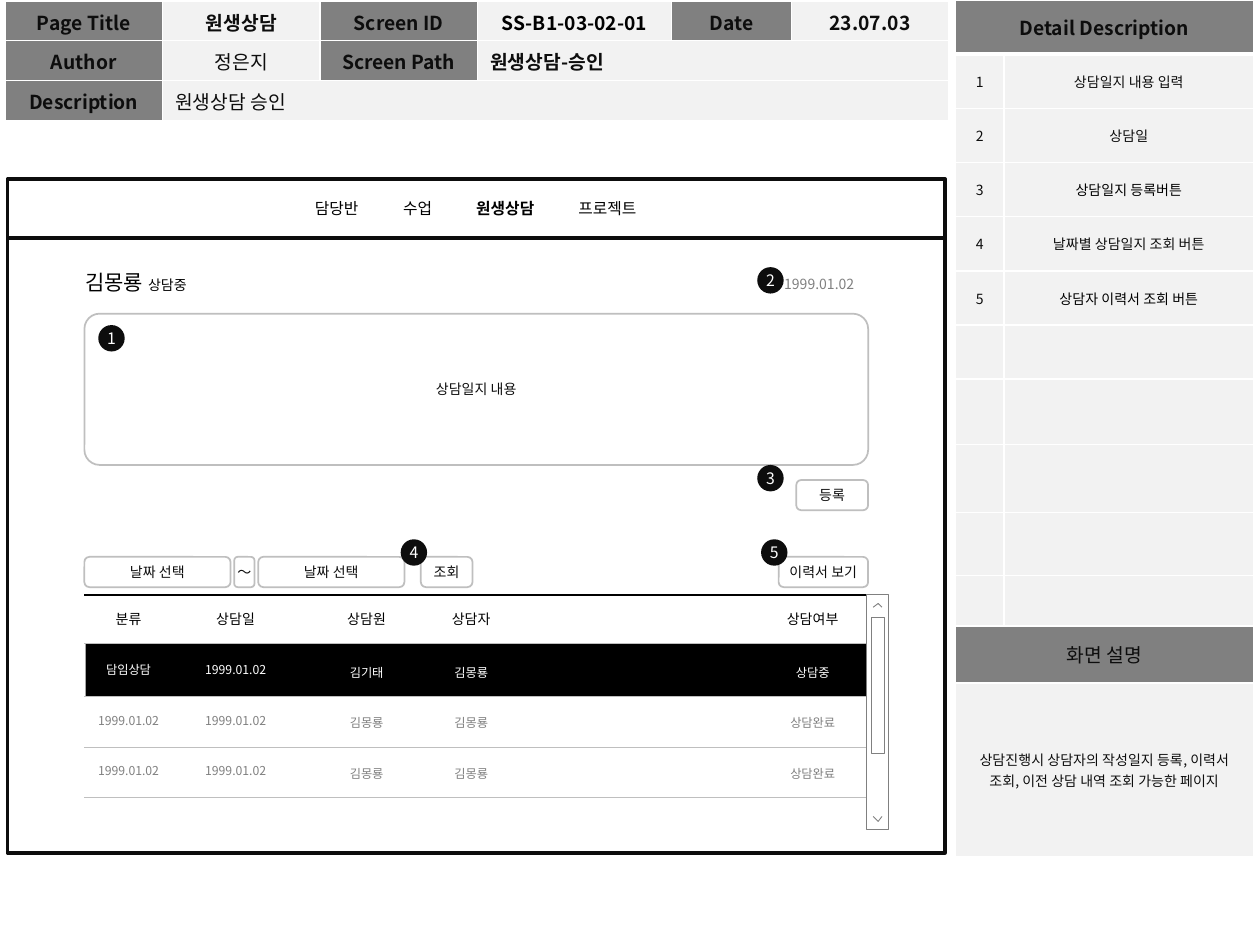
from lxml.etree import SubElement
from pptx import Presentation
from pptx.dml.color import RGBColor
from pptx.enum.shapes import MSO_CONNECTOR, MSO_SHAPE
from pptx.enum.text import MSO_ANCHOR, PP_ALIGN
from pptx.oxml.ns import qn
from pptx.util import Inches, Pt

FONT = "Noto Sans CJK KR"
COLORS = {"white": "FFFFFF", "black": "000000", "ink": "0D0D0D", "gray": "808080",
          "silver": "BFBFBF", "pale": "F2F2F2"}


def write_text(frame, runs, align=PP_ALIGN.CENTER, color="black", **formats):
    paragraph = frame.paragraphs[0]
    paragraph.alignment = align
    for text, changes in runs:
        run = paragraph.add_run()
        run.text = text
        for name, value in {"name": FONT, **formats, **changes}.items():
            setattr(run.font, name, value)
        run.font.color.rgb = RGBColor.from_string(COLORS[color])
        SubElement(run._r.get_or_add_rPr(), qn("a:ea"), typeface=FONT)


def style_shape(shape, fill=None, line=None, width=1):
    shape.shadow.inherit = False
    if fill:
        shape.fill.solid()
        shape.fill.fore_color.rgb = RGBColor.from_string(COLORS[fill])
    else:
        shape.fill.background()
    if line:
        shape.line.color.rgb = RGBColor.from_string(COLORS[line])
        shape.line.width = Pt(width)
    else:
        shape.line.fill.background()


presentation = Presentation()
presentation.slide_width, presentation.slide_height = Inches(10), Inches(7.5)
slide = presentation.slides.add_slide(presentation.slide_layouts[6])
shapes = slide.shapes

menu = shapes.add_textbox(*map(Inches, (2.2, 1.53, 3.16, 0.25))).text_frame
menu.word_wrap = True
menu.margin_left = Inches(0.3)
tab_list = SubElement(menu.paragraphs[0]._p.get_or_add_pPr(), qn("a:tabLst"))
for position in (0.7, 1.28, 2.09):
    SubElement(tab_list, qn("a:tab"), pos=str(Inches(position)), algn="l")
write_text(menu, [("담당반\t수업\t", {}), ("원생상담", {"bold": True}), ("\t프로젝트", {})],
           PP_ALIGN.LEFT, size=Pt(9))

for top, height in ((1.89, 4.88), (1.42, 0.47)):
    frame = shapes.add_shape(MSO_SHAPE.RECTANGLE, *map(Inches, (0.06, top, 7.44, height)))
    style_shape(frame, line="ink", width=2)

title = {"size": Pt(11), "bold": True}
plain = {"size": Pt(11), "bold": False}
small = {"size": Pt(8), "bold": False}
left_title = {**title, "align": PP_ALIGN.LEFT}
left_plain = {**plain, "align": PP_ALIGN.LEFT}
dark = {"fill": "gray", **title}
header_rows = [
    [("Page Title", dark), ("원생상담", title), ("Screen ID", dark),
     ("SS-B1-03-02-01", {**title, "color": "black"}), ("Date", dark), ("23.07.03", title)],
    [("Author", dark), ("정은지", plain), ("Screen Path", dark), ("원생상담-승인", left_title)],
    [("Description", dark), ("원생상담 승인", left_plain)],
]
details = ["상담일지 내용 입력", "상담일", "상담일지 등록버튼", "날짜별 상담일지 조회 버튼",
           "상담자 이력서 조회 버튼"]
detail_rows = [[("Detail Description", dark)]]
for number, detail in enumerate(details, 1):
    detail_color = "black" if number in (3, 5) else "ink"
    detail_rows.append([(str(number), small), (detail, {**small, "color": detail_color})])
detail_rows += [[("", small), ("", small)]] * 5
detail_rows += [[("화면 설명", {**dark, "bold": False})],
                [("상담진행시 상담자의 작성일지 등록, 이력서 조회, 이전 상담 내역 조회 가능한 페이지", small)]]
tables = [
    (0.04, 0.01, [1.25, 1.25, 1.25, 1.54, 0.95, 1.25], [0.31, 0.32, 0.32], header_rows, 1),
    (7.58, 0, [0.39, 1.98], [0.43] * 7 + [0.52, 0.54, 0.5, 0.36, 0.45, 1.38], detail_rows, 3),
]
for left, top, widths, heights, rows, first_border in tables:
    table = shapes.add_table(len(heights), len(widths), Inches(left), Inches(top),
                             Inches(sum(widths)), Inches(sum(heights))).table
    table.first_row = table.horz_banding = False
    for column, width in zip(table.columns, widths):
        column.width = Inches(width)
    for row_index, (height, row) in enumerate(zip(heights, rows)):
        table.rows[row_index].height = Inches(height)
        last = len(row) - 1
        if len(row) < len(widths):
            table.cell(row_index, last).merge(table.cell(row_index, len(widths) - 1))
        for column_index in range(len(widths)):
            cell = table.cell(row_index, column_index)
            text, formats = row[min(column_index, last)]
            options = {"color": "ink", **formats}
            fill = options.pop("fill", "pale")
            properties = cell._tc.get_or_add_tcPr()
            for side in "LRTB":
                points = first_border if side == "B" and row_index == 0 else 1
                border = SubElement(properties, qn(f"a:ln{side}"), w=str(Pt(points)))
                border_fill = SubElement(border, qn("a:solidFill"))
                SubElement(border_fill, qn("a:srgbClr"), val=COLORS["white"])
            cell.fill.solid()
            cell.fill.fore_color.rgb = RGBColor.from_string(COLORS[fill])
            cell.vertical_anchor = MSO_ANCHOR.MIDDLE
            if column_index <= last:
                write_text(cell.text_frame, [(text, {})], **options)

selected_row = shapes.add_shape(MSO_SHAPE.RECTANGLE, *map(Inches, (0.68, 5.11, 6.22, 0.42)))
style_shape(selected_row, fill="black")

for y, color, width in ((4.72, "black", 1), (5.11, "silver", 0.5), (5.53, "silver", 0.5),
                        (5.93, "silver", 0.5), (6.33, "silver", 0.5)):
    rule = shapes.add_connector(MSO_CONNECTOR.STRAIGHT, *map(Inches, (0.67, y, 6.89, y)))
    rule.line.color.rgb = RGBColor.from_string(COLORS[color])
    rule.line.width = Pt(width)
    SubElement(rule._element.spPr, qn("a:effectLst"))

buttons = [
    (0.67, 4.42, 1.16, 0.24, "날짜 선택"), (2.05, 4.42, 1.16, 0.24, "날짜 선택"),
    (1.86, 4.42, 0.16, 0.24, "～"), (3.34, 4.42, 0.41, 0.24, "조회"),
    (6.18, 4.42, 0.71, 0.24, "이력서 보기"), (0.67, 2.49, 6.22, 1.2, "상담일지 내용"),
    (6.32, 3.81, 0.57, 0.24, "등록"),
]
for *box, label in buttons:
    button = shapes.add_shape(MSO_SHAPE.ROUNDED_RECTANGLE, *map(Inches, box))
    style_shape(button, fill="white", line="silver")
    if box[3] > 1:
        button.adjustments[0] = 0.1
    button.text_frame.margin_left = button.text_frame.margin_right = 0
    button.text_frame.vertical_anchor = MSO_ANCHOR.MIDDLE
    write_text(button.text_frame, [(label, {})], color="ink", size=Pt(8))

columns = [
    (1.02, 0.69, 5.21, ["분류", "담임상담", "1999.01.02", "1999.01.02"]),
    (1.87, 0.69, 5.21, ["상담일", "1999.01.02", "1999.01.02", "1999.01.02"]),
    (2.91, 0.55, 5.23, ["상담원", "김기태", "김몽룡", "김몽룡"]),
    (3.74, 0.55, 5.23, ["상담자", "김몽룡", "김몽룡", "김몽룡"]),
    (6.45, 0.88, 5.23, ["상담여부", "상담중", "상담완료", "상담완료"]),
]
for center, width, first_top, entries in columns:
    for index, entry in enumerate(entries):
        top = first_top + 0.4 * (index - 1) if index else 4.8
        box = (center - width / 2, top, width, 0.22 if index else 0.24)
        entry_box = shapes.add_textbox(*map(Inches, box))
        entry_box.text_frame.word_wrap = False
        write_text(entry_box.text_frame, [(entry, {})], size=Pt(7 if index else 8),
                   color=("black", "white", "gray", "gray")[index])

date_box = shapes.add_textbox(*map(Inches, (6.01, 2.14, 0.87, 0.24)))
date_box.text_frame.word_wrap = True
write_text(date_box.text_frame, [("1999.01.02", {})], PP_ALIGN.RIGHT, "gray", size=Pt(8))

student_box = shapes.add_textbox(*map(Inches, (0.58, 2.09, 1.1, 0.3)))
student_box.text_frame.word_wrap = True
write_text(student_box.text_frame, [("김몽룡 ", {"size": Pt(12)}), ("상담중", {"size": Pt(8)})],
           PP_ALIGN.LEFT)

scrollbar = shapes.add_group_shape().shapes
for box in ((6.88, 4.72, 0.17, 1.86), (6.92, 4.9, 0.1, 1.08)):
    bar = scrollbar.add_shape(MSO_SHAPE.RECTANGLE, *map(Inches, box))
    style_shape(bar, fill="white", line="gray", width=0.5)
for base, tip in ((4.82, 4.79), (6.48, 6.52)):
    builder = scrollbar.build_freeform(Inches(6.93), Inches(base))
    builder.add_line_segments([(Inches(6.97), Inches(tip)), (Inches(7), Inches(base))], close=False)
    style_shape(builder.convert_to_shape(), fill="white", line="gray", width=0.5)

for number, left, top in ((1, 0.78, 2.58), (3, 6.01, 3.69), (2, 6.01, 2.12),
                          (4, 3.18, 4.28), (5, 6.04, 4.28)):
    marker = shapes.add_shape(MSO_SHAPE.OVAL, *map(Inches, (left, top, 0.21, 0.21)))
    style_shape(marker, fill="ink")
    marker.text_frame.word_wrap = False
    for side in ("left", "top", "right", "bottom"):
        setattr(marker.text_frame, f"margin_{side}", 0)
    marker.text_frame.vertical_anchor = MSO_ANCHOR.MIDDLE
    write_text(marker.text_frame, [(str(number), {})], color="white", size=Pt(9))

presentation.save("out.pptx")
